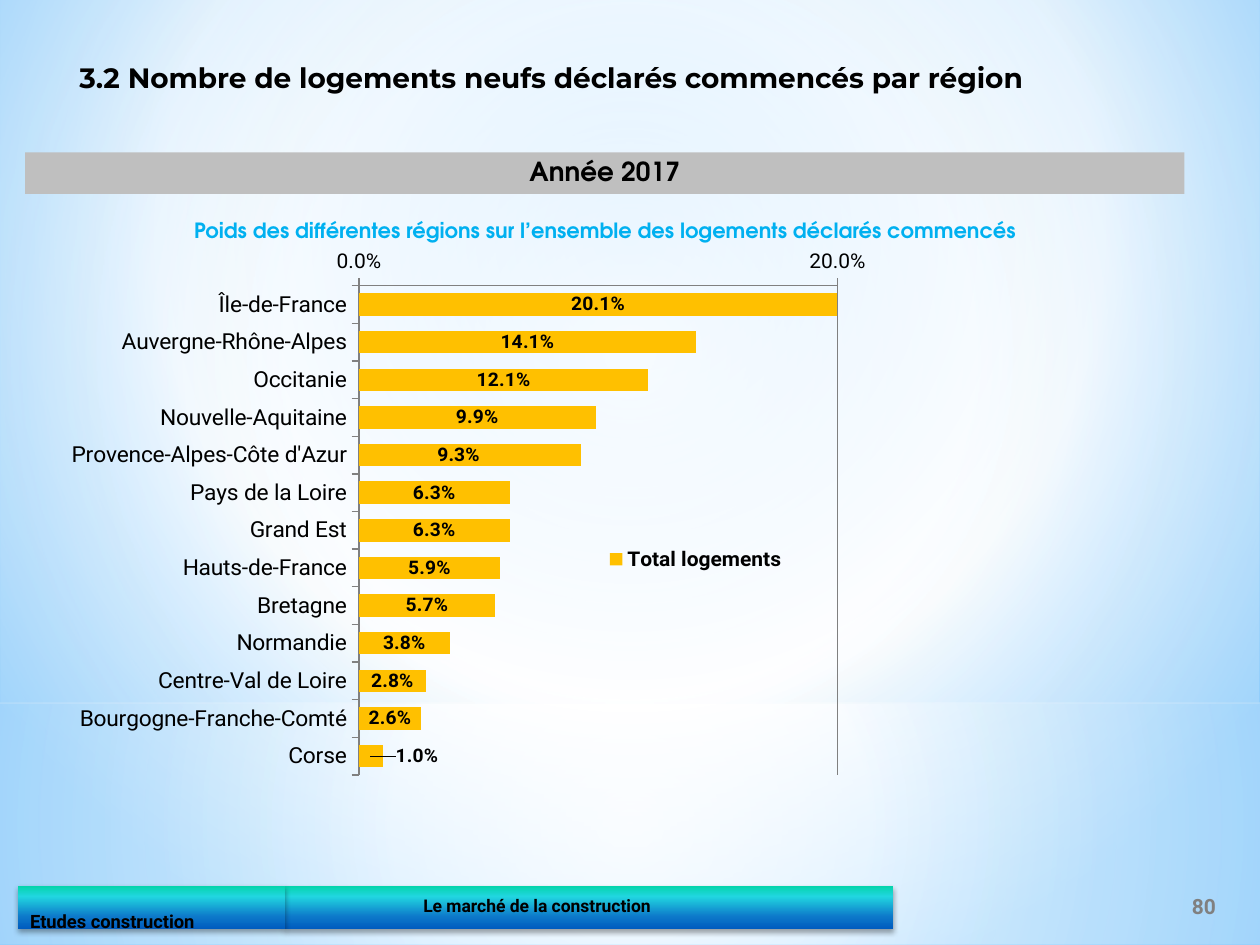
from dataclasses import dataclass
from typing import Optional

from lxml.etree import SubElement
from pptx import Presentation
from pptx.chart.data import CategoryChartData
from pptx.dml.color import RGBColor
from pptx.enum.chart import XL_CHART_TYPE as ChartType
from pptx.enum.chart import XL_LABEL_POSITION as LabelPosition
from pptx.enum.chart import XL_LEGEND_POSITION as LegendPosition
from pptx.enum.chart import XL_TICK_MARK as TickMark
from pptx.enum.shapes import MSO_SHAPE as Preset
from pptx.enum.text import MSO_ANCHOR as Anchor
from pptx.enum.text import PP_ALIGN as Align
from pptx.oxml.ns import qn
from pptx.util import Inches, Pt

GREY = "808080"
PERCENT = "0.0%"


@dataclass
class Gradient:
    stops: list[tuple[int, str, int]]
    focus: Optional[tuple[int, int, int, int]] = None


@dataclass
class Panel:
    box: tuple[float, float, float, float]
    fill: Gradient | str
    shadow: bool = False


@dataclass
class Label:
    text: str
    font: str
    size: float
    color: str = "000000"
    align: Align = Align.CENTER
    anchor: Anchor = Anchor.MIDDLE
    left: float = 0.1
    top: float = 0.05
    bottom: float = 0.05
    spacing: float = 0.9


CENTER = (50, 50, 50, 50)
BACKDROP = Gradient([(0, "9ED5FF", 100), (60, "FFFFFF", 100), (100, "5BB9FF", 100)],
                    (20, 10, 20, 60))
LOWER_GLOW = Gradient([(0, "FFFFFF", 91), (37, "FFFFFF", 76), (100, "B4DCFA", 79)], CENTER)
UPPER_GLOW = Gradient([(0, "FFFFFF", 89), (48, "FFFFFF", 62), (100, "B4DCFA", 79)], CENTER)
FOOTER_BLUE = Gradient([(0, "03D4A8", 100), (25, "21D6E0", 100),
                        (72, "0D79CA", 100), (100, "005CBF", 100)])

REGIONS = {
    "Île-de-France": 0.201,
    "Auvergne-Rhône-Alpes": 0.141,
    "Occitanie": 0.121,
    "Nouvelle-Aquitaine": 0.099,
    "Provence-Alpes-Côte d'Azur": 0.093,
    "Pays de la Loire": 0.063,
    "Grand Est": 0.063,
    "Hauts-de-France": 0.059,
    "Bretagne": 0.057,
    "Normandie": 0.038,
    "Centre-Val de Loire": 0.028,
    "Bourgogne-Franche-Comté": 0.026,
    "Corse": 0.01,
}
MOVED_LABELS = {"Provence-Alpes-Côte d'Azur": (-0.01, 0.0), "Corse": (0.04, 0.0)}


def rgb(color: str) -> RGBColor:
    return RGBColor.from_string(color)


def apply_gradient(properties, gradient: Gradient) -> None:
    solid = properties.find(qn("a:solidFill"))
    fill = properties.makeelement(qn("a:gradFill"), {"rotWithShape": "1"})
    stops = SubElement(fill, qn("a:gsLst"))
    for position, color, opacity in gradient.stops:
        stop = SubElement(stops, qn("a:gs"), pos=str(position * 1000))
        tint = SubElement(stop, qn("a:srgbClr"), val=color)
        if opacity < 100:
            SubElement(tint, qn("a:alpha"), val=str(opacity * 1000))
    if gradient.focus:
        circle = SubElement(fill, qn("a:path"), path="circle")
        sides = {side: str(share * 1000) for side, share in zip("ltrb", gradient.focus)}
        SubElement(circle, qn("a:fillToRect"), sides)
    else:
        SubElement(fill, qn("a:lin"), ang="5400000", scaled="0")
    properties.replace(solid, fill)


def write_text(holder, label: Label) -> None:
    frame = holder.text_frame
    frame.word_wrap = True
    frame.vertical_anchor = label.anchor
    frame.margin_left, frame.margin_right = Inches(label.left), Inches(0.1)
    frame.margin_top, frame.margin_bottom = Inches(label.top), Inches(label.bottom)
    paragraph = frame.paragraphs[0]
    paragraph.alignment = label.align
    paragraph.line_spacing = label.spacing
    run = paragraph.add_run()
    run.text = label.text
    run.font.name, run.font.size, run.font.bold = label.font, Pt(label.size), True
    run.font.color.rgb = rgb(label.color)


def add_panel(slide, panel: Panel, label: Optional[Label] = None) -> None:
    shape = slide.shapes.add_shape(Preset.RECTANGLE, *map(Inches, panel.box))
    shape.shadow.inherit = False
    shape.line.fill.background()
    shape.fill.solid()
    if isinstance(panel.fill, Gradient):
        apply_gradient(shape.element.spPr, panel.fill)
    else:
        shape.fill.fore_color.rgb = rgb(panel.fill)
    if panel.shadow:
        effects = shape.element.spPr.find(qn("a:effectLst"))
        shade = SubElement(effects, qn("a:outerShdw"), blurRad=str(Pt(3.1)),
                           dist=str(Pt(1.8)), dir="5400000", rotWithShape="0")
        SubElement(SubElement(shade, qn("a:srgbClr"), val="000000"),
                   qn("a:alpha"), val="35000")
    if label:
        write_text(shape, label)


def add_text(slide, box: tuple[float, float, float, float], label: Label) -> None:
    write_text(slide.shapes.add_textbox(*map(Inches, box)), label)


def set_layout(parent, index: int, **places: float | str) -> None:
    for old in parent.findall(qn("c:layout")):
        parent.remove(old)
    layout = parent.makeelement(qn("c:layout"), {})
    manual = SubElement(layout, qn("c:manualLayout"))
    for name, place in places.items():
        SubElement(manual, qn(f"c:{name}"), val=str(place))
    parent.insert(index, layout)


def style_axis(axis, size: float) -> None:
    axis.tick_labels.font.size = Pt(size)
    axis.major_tick_mark = TickMark.OUTSIDE
    axis.minor_tick_mark = TickMark.NONE
    axis.format.line.color.rgb = rgb(GREY)


def add_region_chart(slide) -> None:
    shares = CategoryChartData(number_format=PERCENT)
    shares.categories = list(REGIONS)
    shares.add_series("Total logements", list(REGIONS.values()))
    chart = slide.shapes.add_chart(ChartType.BAR_STACKED, Inches(0.26), Inches(1.98),
                                   Inches(9.15), Inches(4.69), shares).chart
    chart.has_title = False
    chart.font.name, chart.font.size = "Roboto", Pt(18)
    chart.font.color.rgb = rgb("000000")

    regions, scale = chart.category_axis, chart.value_axis
    style_axis(regions, 13)
    style_axis(scale, 12)
    regions.reverse_order = True
    scale.minimum_scale, scale.maximum_scale, scale.major_unit = 0, 0.2, 0.2
    scale.tick_labels.number_format = PERCENT
    scale.tick_labels.number_format_is_linked = False
    scale.major_gridlines.format.line.color.rgb = rgb(GREY)

    plot = chart.plots[0]
    plot.gap_width, plot.overlap, plot.vary_by_categories = 68, 100, False
    bars = plot.series[0]
    bars.format.fill.solid()
    bars.format.fill.fore_color.rgb = rgb("FFC000")
    values = bars.data_labels
    values.show_value = True
    values.number_format, values.number_format_is_linked = PERCENT, False
    values.position = LabelPosition.CENTER
    values.font.size, values.font.bold = Pt(11), True
    for region, (across, down) in MOVED_LABELS.items():
        moved = bars.points[list(REGIONS).index(region)].data_label
        moved.font.size, moved.font.bold = Pt(11), True
        moved.position = LabelPosition.CENTER
    for entry, (across, down) in zip(values._element.findall(qn("c:dLbl")),
                                     MOVED_LABELS.values()):
        set_layout(entry, 1, x=across, y=down)

    chart.has_legend = True
    legend = chart.legend
    legend.position, legend.include_in_layout = LegendPosition.RIGHT, False
    legend.font.size, legend.font.bold = Pt(12), True
    set_layout(legend._element, 1, xMode="edge", yMode="edge", x=0.49, y=0.48, w=0.17, h=0.06)
    set_layout(chart.element.find(".//" + qn("c:plotArea")), 0, layoutTarget="inner",
               xMode="edge", yMode="edge", x=0.283, y=0.033, w=0.415, h=0.853)


def main() -> None:
    deck = Presentation()
    deck.slide_width, deck.slide_height = Inches(10), Inches(7.5)
    slide = deck.slides.add_slide(deck.slide_layouts[5])
    slide.background.fill.solid()
    apply_gradient(slide.element.find(".//" + qn("p:bgPr")), BACKDROP)

    add_panel(slide, Panel((0, 5.58, 10, 1.92), LOWER_GLOW))
    add_panel(slide, Panel((0, 0, 10, 5.58), UPPER_GLOW))
    add_panel(slide, Panel((2.26, 7.03, 4.83, 0.34), FOOTER_BLUE, True),
              Label("Le marché de la construction", "Roboto", 10, align=Align.LEFT, left=1.1))
    add_panel(slide, Panel((0.14, 7.03, 2.12, 0.34), FOOTER_BLUE, True),
              Label("Etudes construction", "Roboto", 10.5, align=Align.LEFT, top=0.24, bottom=0))
    add_text(slide, (9.26, 6.99, 0.59, 0.4), Label("80", "Roboto", 12, GREY, spacing=1))
    add_panel(slide, Panel((0.2, 1.21, 9.2, 0.33), "BFBFBF"),
              Label("Année 2017", "TeX Gyre Adventor", 15))
    add_region_chart(slide)
    add_text(slide, (0.37, 1.7, 8.87, 0.28),
             Label("Poids des différentes régions sur l’ensemble des logements déclarés commencés",
                   "TeX Gyre Adventor", 12, "00B0F0"))

    title = slide.shapes.title
    title.left, title.top, title.width, title.height = map(Inches, (0.53, 0.43, 8.08, 0.44))
    write_text(title, Label("3.2 Nombre de logements neufs déclarés commencés par région",
                            "Montserrat", 16, align=Align.LEFT, anchor=Anchor.TOP, spacing=1))
    slide.shapes._spTree.append(title.element)
    deck.save("out.pptx")


if __name__ == "__main__":
    main()
